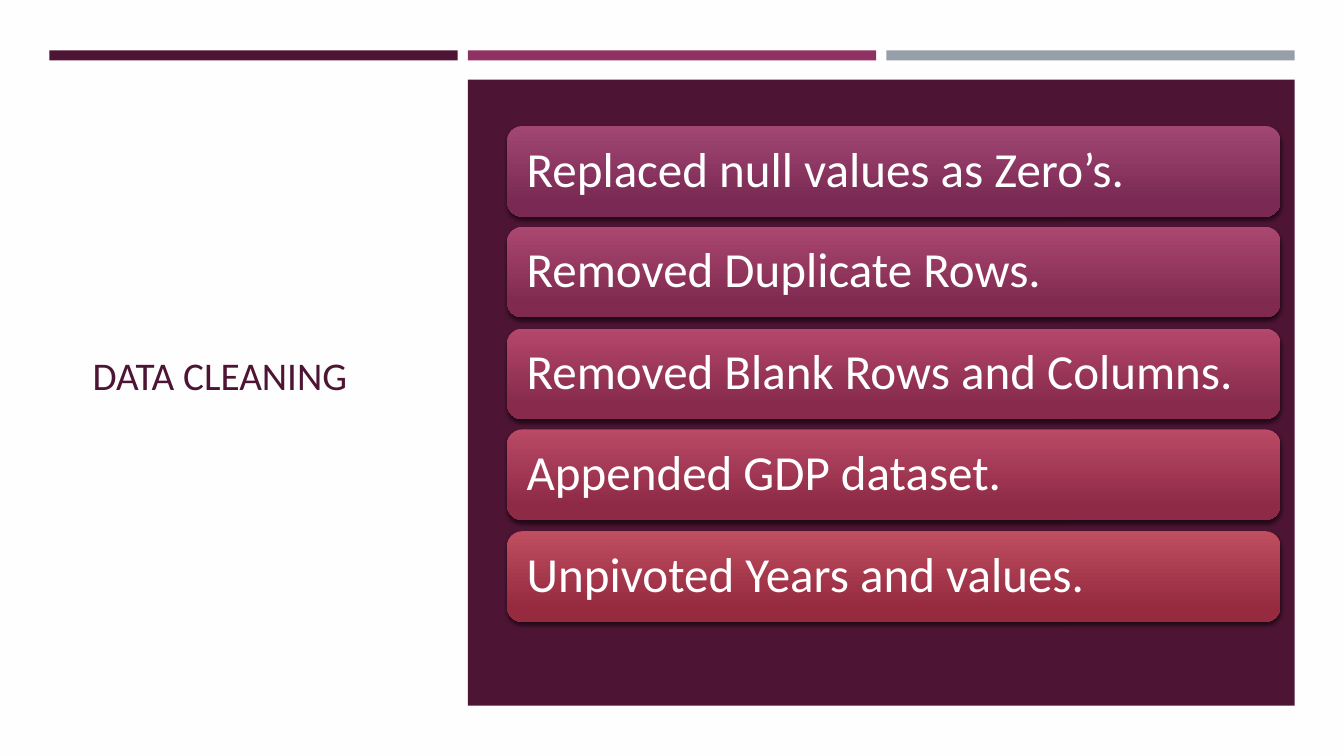
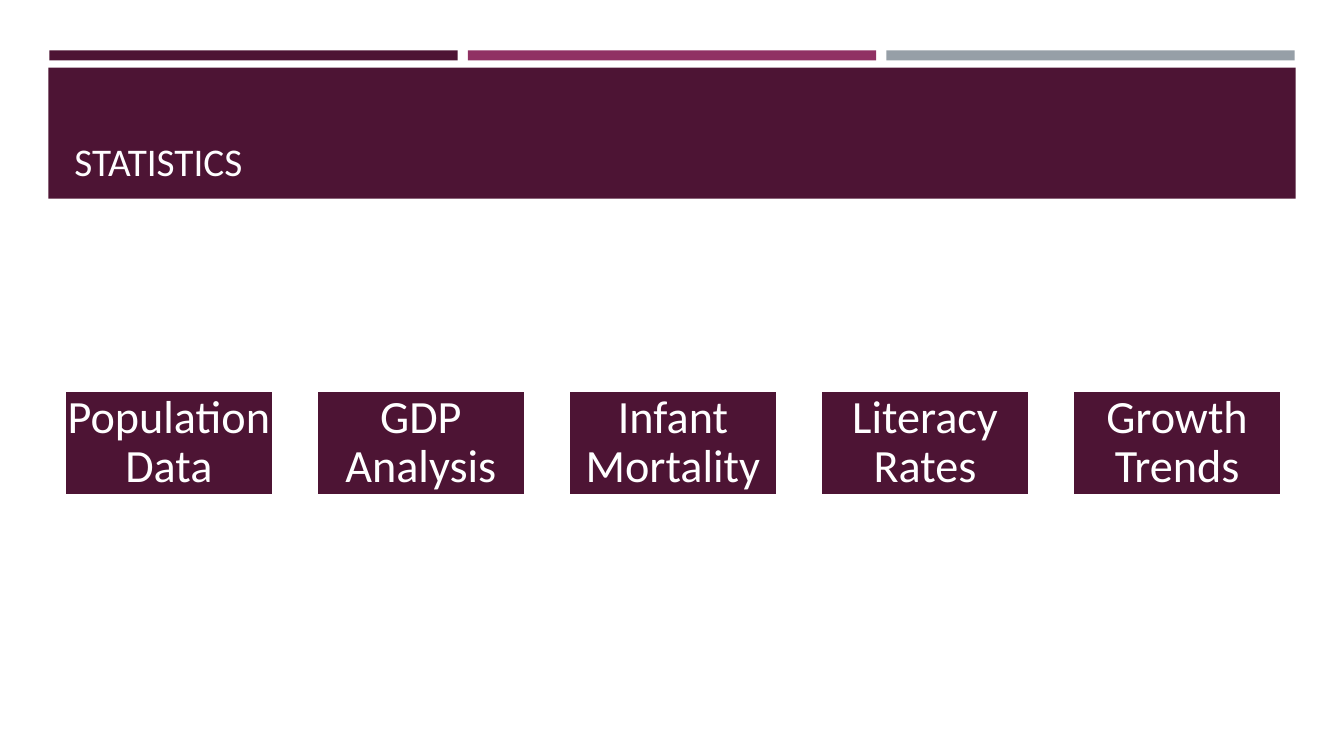
from lxml.etree import SubElement
from pptx import Presentation
from pptx.dml.color import RGBColor
from pptx.enum.shapes import MSO_SHAPE
from pptx.enum.text import MSO_ANCHOR, PP_ALIGN
from pptx.oxml.ns import qn
from pptx.util import Emu, Pt

PLUM = RGBColor(0x4D, 0x14, 0x34)
MAGENTA = RGBColor(0x90, 0x31, 0x63)
GRAY = RGBColor(0x96, 0x9F, 0xA7)
WHITE = RGBColor(0xFF, 0xFF, 0xFF)
OFF_WHITE = RGBColor(0xFF, 0xFE, 0xFF)

CLEANING_STEPS = [
    ("Replaced null values as Zero’s.", RGBColor(0xA2, 0x47, 0x74), RGBColor(0x79, 0x29, 0x53)),
    ("Removed Duplicate Rows.", RGBColor(0xAB, 0x47, 0x70), RGBColor(0x80, 0x2A, 0x50)),
    ("Removed Blank Rows and Columns.", RGBColor(0xB4, 0x47, 0x6B), RGBColor(0x87, 0x2A, 0x4B)),
    ("Appended GDP dataset.", RGBColor(0xBA, 0x4A, 0x66), RGBColor(0x8E, 0x2A, 0x46)),
    ("Unpivoted Years and values.", RGBColor(0xBF, 0x4E, 0x61), RGBColor(0x96, 0x2A, 0x3F)),
]
STATISTICS = ["Population Data", "GDP Analysis", "Infant Mortality", "Literacy Rates", "Growth Trends"]


def px(length):
    """Turn px, 100 to the inch, into EMU."""
    return Emu(length * 9144)


class Deck:
    font_name = "Calibri"
    title_size = 28

    def __init__(self):
        self.presentation = Presentation()
        self.presentation.slide_width = px(1333)
        self.presentation.slide_height = px(750)
        self.slide = None

    def new_slide(self, background):
        """Start a blank slide with the three bars along its top."""
        self.slide = self.presentation.slides.add_slide(self.presentation.slide_layouts[6])
        fill = self.slide.background.fill
        fill.solid()
        fill.fore_color.rgb = background
        for index, color in enumerate((PLUM, MAGENTA, GRAY)):
            self.rectangle(49 + 415 * index, 50, 405, 10, color)

    def shape(self, kind, left, top, width, height):
        shape = self.slide.shapes.add_shape(kind, px(left), px(top), px(width), px(height))
        shape.shadow.inherit = False
        shape.line.fill.background()
        return shape

    def rectangle(self, left, top, width, height, color):
        shape = self.shape(MSO_SHAPE.RECTANGLE, left, top, width, height)
        shape.fill.solid()
        shape.fill.fore_color.rgb = color
        return shape

    def set_text(self, shape, text, size, color, anchor=MSO_ANCHOR.MIDDLE, align=PP_ALIGN.LEFT):
        frame = shape.text_frame
        frame.word_wrap = True
        frame.vertical_anchor = anchor
        frame.text = text
        paragraph = frame.paragraphs[0]
        paragraph.alignment = align
        paragraph.font.name = self.font_name
        paragraph.font.size = Pt(size)
        paragraph.font.color.rgb = color
        return paragraph

    def set_label(self, shape, text, size, inset, align):
        """Set tightly spaced white text with the same inset on all sides."""
        self.set_text(shape, text, size, WHITE, align=align).line_spacing = 0.9
        frame = shape.text_frame
        frame.margin_left = frame.margin_right = px(inset)
        frame.margin_top = frame.margin_bottom = px(inset)

    def title(self, text, left, top, width, height, color, anchor):
        box = self.slide.shapes.add_textbox(px(left), px(top), px(width), px(height))
        self.set_text(box, text, self.title_size, color, anchor)

    def drop_shadow(self, shape):
        effects = shape._element.spPr.find(qn("a:effectLst"))
        shadow = SubElement(effects, qn("a:outerShdw"), blurRad=str(Pt(3)), dist=str(Pt(2)),
                            dir="5400000", algn="ctr", rotWithShape="0")
        color = SubElement(shadow, qn("a:srgbClr"), val="000000")
        SubElement(color, qn("a:alpha"), val="55000")

    def step(self, text, left, top, width, height, light, dark):
        """Add a rounded row shaded from light at its top to dark."""
        shape = self.shape(MSO_SHAPE.ROUNDED_RECTANGLE, left, top, width, height)
        shape.fill.gradient()
        shape.fill.gradient_angle = 270
        for stop, position, color in zip(shape.fill.gradient_stops, (0, 0.84), (light, dark)):
            stop.position = position
            stop.color.rgb = color
        self.drop_shadow(shape)
        self.set_label(shape, text, 35, 15, PP_ALIGN.LEFT)

    def tile(self, text, left, top, width, height):
        shape = self.rectangle(left, top, width, height, PLUM)
        shape.line.color.rgb = WHITE
        shape.line.width = Pt(1.75)
        self.set_label(shape, text, 33, 2, PP_ALIGN.CENTER)


def main():
    deck = Deck()

    deck.new_slide(OFF_WHITE)
    deck.title("DATA CLEANING", 82, 114, 334, 515, PLUM, MSO_ANCHOR.MIDDLE)
    deck.rectangle(464, 79, 820, 621, PLUM)
    first_top, last_top = 125, 527
    for index, (text, light, dark) in enumerate(CLEANING_STEPS):
        top = first_top + (last_top - first_top) * index // (len(CLEANING_STEPS) - 1)
        deck.step(text, 503, top, 767, 90, light, dark)

    deck.new_slide(WHITE)
    deck.rectangle(48, 67, 1237, 130, PLUM)
    deck.title("STATISTICS", 64, 77, 1206, 111, OFF_WHITE, MSO_ANCHOR.BOTTOM)
    for index, text in enumerate(STATISTICS):
        deck.tile(text, 64 + 250 * index, 388, 207, 103)

    deck.presentation.save("out.pptx")


if __name__ == "__main__":
    main()
